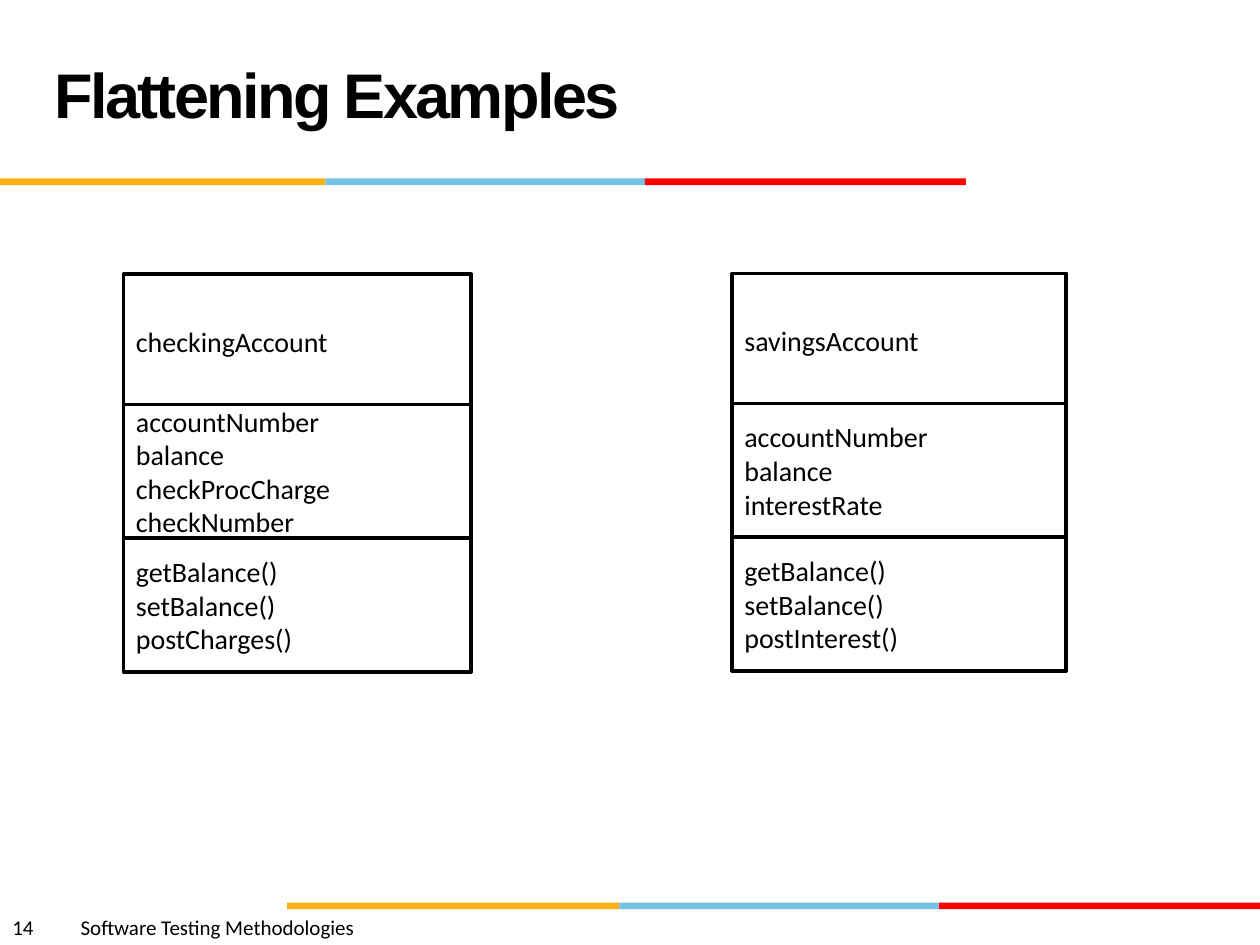
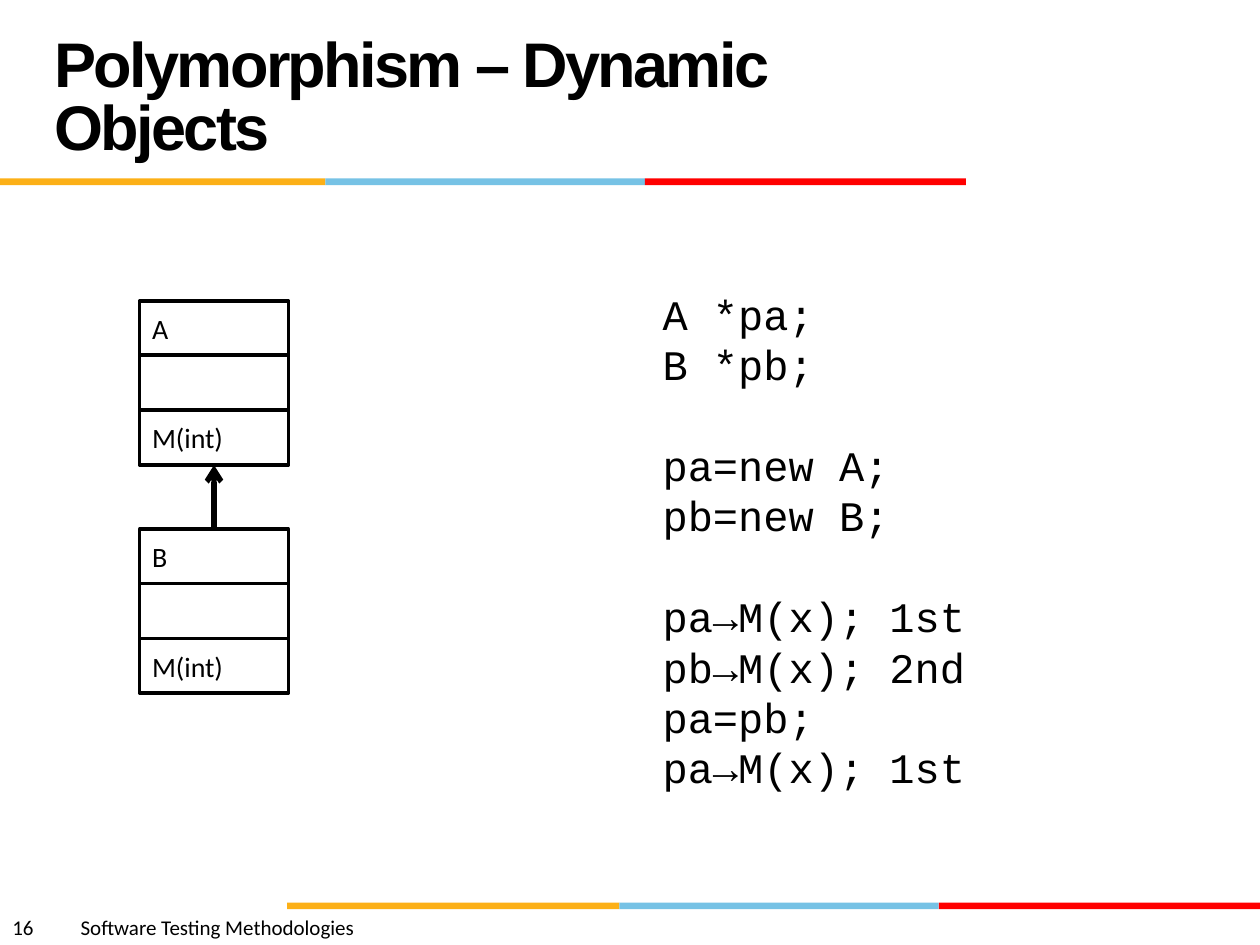
from pptx import Presentation
from pptx.dml.color import RGBColor
from pptx.enum.shapes import MSO_CONNECTOR, MSO_SHAPE
from pptx.enum.text import MSO_ANCHOR, PP_ALIGN
from pptx.oxml.ns import qn
from pptx.util import Pt
from lxml import etree

RECTANGLE = MSO_SHAPE.RECTANGLE
STRAIGHT = MSO_CONNECTOR.STRAIGHT
MIDDLE, TOP = MSO_ANCHOR.MIDDLE, MSO_ANCHOR.TOP
LEFT = PP_ALIGN.LEFT

COLORS = {"ink": "000000", "paper": "FFFFFF",
          "amber": "FCB017", "sky": "76C2E5", "red": "FF0000"}
BAND_COLORS = ("amber", "sky", "red")
HEADING, BODY, CODE = "Arial", "Calibri", "Courier New"


def color(name):
    return RGBColor.from_string(COLORS[name])


def add_span(para, text, font, size, bold=False):
    span = para.add_run()
    span.text = text
    span.font.name = font
    span.font.size = Pt(size)
    span.font.bold = bold
    span.font.color.rgb = color("ink")
    return span


def add_lines(frame, lines, font, size):
    """Write one left-aligned paragraph per line and return them."""
    paras = []
    for index, line in enumerate(lines):
        para = frame.add_paragraph() if index else frame.paragraphs[0]
        para.alignment = LEFT
        add_span(para, line, font, size)
        paras.append(para)
    return paras


def add_text_box(page, left, top, width, height, anchor=TOP):
    box = page.shapes.add_textbox(Pt(left), Pt(top), Pt(width), Pt(height))
    box.text_frame.word_wrap = True
    box.text_frame.vertical_anchor = anchor
    return box.text_frame


def add_rectangle(page, left, top, width, height, fill):
    shape = page.shapes.add_shape(RECTANGLE, Pt(left), Pt(top), Pt(width), Pt(height))
    shape.shadow.inherit = False
    shape.fill.solid()
    shape.fill.fore_color.rgb = color(fill)
    shape.line.fill.background()
    return shape


def add_band(page, edges, top):
    """Three-colour stripe; edges are the x positions between colours."""
    for name, start, end in zip(BAND_COLORS, edges, edges[1:]):
        add_rectangle(page, start, top, end - start, 3.8, name)


def add_title(page, text):
    frame = add_text_box(page, 24, 12, 498, 90, MIDDLE)
    para = frame.paragraphs[0]
    para.line_spacing = Pt(36)
    span = add_span(para, text, HEADING, 36, bold=True)
    span.font._element.set("spc", "-150")


def add_footer(page, number):
    para = add_text_box(page, 0, 519, 360, 21.6).paragraphs[0]
    tabs = etree.SubElement(para._p.get_or_add_pPr(), qn("a:tabLst"))
    etree.SubElement(tabs, qn("a:tab"), pos=str(Pt(39)), algn="l")
    add_span(para, f"{number}\tSoftware Testing Methodologies", BODY, 12)


def add_page(deck, title, number):
    page = deck.slides.add_slide(deck.slide_layouts[6])
    add_band(page, (164, 354, 536.5, 720), 515.8)
    add_band(page, (0, 186, 368.6, 552), 102)
    add_footer(page, number)
    add_title(page, title)
    return page


def add_class(page, left, top, width, row_height, overlap, sections):
    """Class diagram: name, attributes, methods; the name row overlaps the next."""
    for index, lines in enumerate(sections):
        row_top = top + index * row_height - (overlap if index else 0)
        row = add_rectangle(page, left, row_top, width, row_height, "paper")
        row.line.color.rgb = color("ink")
        row.line.width = Pt(2)
        row.text_frame.word_wrap = True
        row.text_frame.vertical_anchor = MIDDLE
        add_lines(row.text_frame, lines, BODY, 16)


def add_arrow(page, x, start, end):
    arrow = page.shapes.add_connector(STRAIGHT, Pt(x), Pt(start), Pt(x), Pt(end))
    arrow.line.color.rgb = color("ink")
    arrow.line.width = Pt(3)
    etree.SubElement(arrow.line._get_or_add_ln(), qn("a:tailEnd"), type="arrow")
    etree.SubElement(arrow._element.spPr, qn("a:effectLst"))


def add_code(page, left, top, width, height, groups):
    """Code listing; each group after the first follows a one-line gap."""
    pitch = 28.8
    frame = add_text_box(page, left, top, width, height)
    frame.margin_top = Pt(7)
    paras = add_lines(frame, [line for group in groups for line in group], CODE, 24)
    for para in paras:
        para.line_spacing = Pt(pitch)
    first = 0
    for group in groups[:-1]:
        first += len(group)
        paras[first].space_before = Pt(pitch)


def build_flattening(deck):
    page = add_page(deck, "Flattening Examples", 14)
    add_class(page, 70.6, 156.7, 198.7, 76.4, 2, (
        ["checkingAccount"],
        ["accountNumber", "balance", "checkProcCharge", "checkNumber"],
        ["getBalance()", "setBalance()", "postCharges()"]))
    add_class(page, 418.3, 156.2, 191, 76.4, 2, (
        ["savingsAccount"],
        ["accountNumber", "balance", "interestRate"],
        ["getBalance()", "setBalance()", "postInterest()"]))


def build_polymorphism(deck):
    page = add_page(deck, "Polymorphism – Dynamic Objects", 16)
    left, width = 79.8, 85
    parent_top, child_top = 172, 302.4
    for name, top in (("A", parent_top), ("B", child_top)):
        add_class(page, left, top, width, 31.4, 0.4, ([name], [], ["M(int)"]))
    add_arrow(page, left + width / 2, child_top, 265.8)
    add_code(page, 371.5, 157.7, 198, 298, (
        ["A *pa;", "B *pb;"],
        ["pa=new A;", "pb=new B;"],
        ["pa→M(x); 1st", "pb→M(x); 2nd", "pa=pb;", "pa→M(x); 1st"]))


deck = Presentation()
deck.slide_width, deck.slide_height = Pt(720), Pt(540)
build_flattening(deck)
build_polymorphism(deck)
deck.save("out.pptx")
